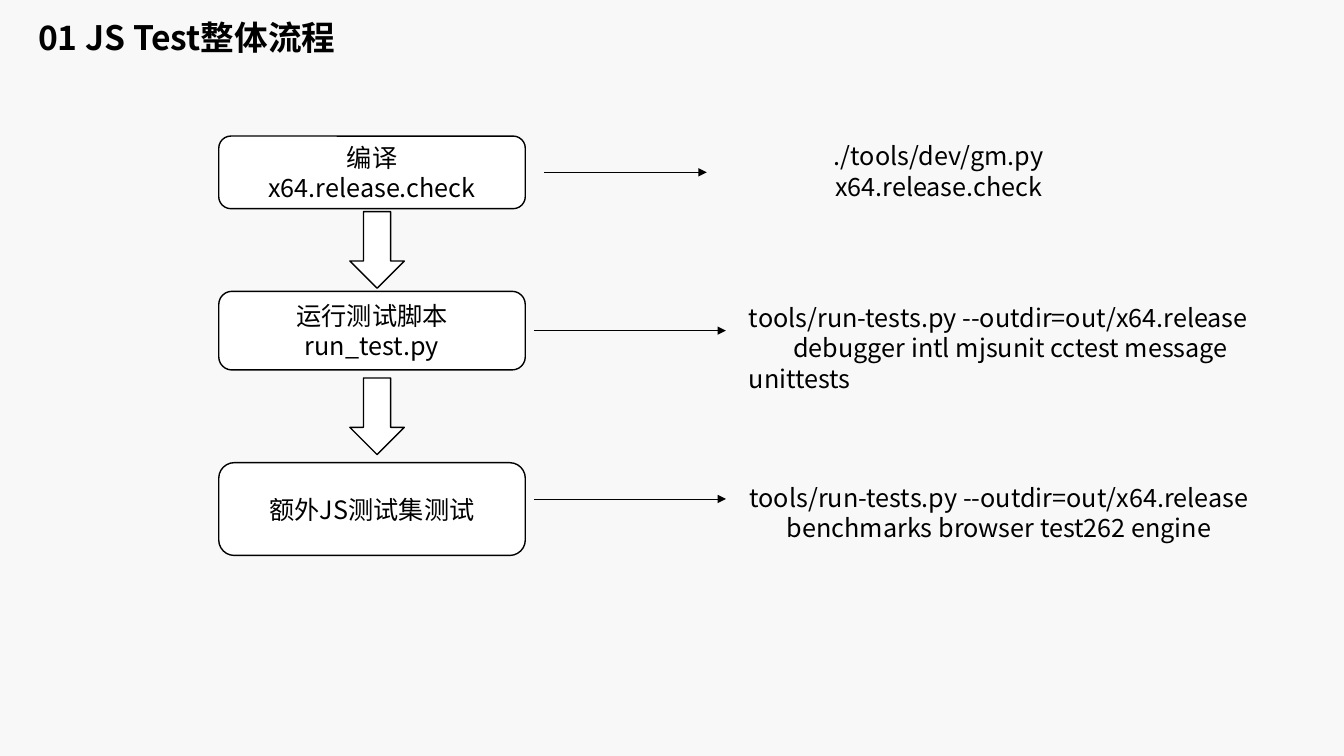
import pptx
import pptx.util
import pptx.dml.color
import pptx.enum.shapes
import pptx.enum.text
import pptx.oxml.ns
import lxml.etree

Inches = pptx.util.Inches
SHAPE = pptx.enum.shapes.MSO_SHAPE
ALIGN = pptx.enum.text.PP_ALIGN
ANCHOR = pptx.enum.text.MSO_ANCHOR
FONT = "Noto Sans CJK SC"
COLORS = {
    name: pptx.dml.color.RGBColor.from_string(value)
    for name, value in {"ground": "F8F8F8", "ink": "000000", "white": "FFFFFF"}.items()
}

deck = pptx.Presentation()
deck.slide_width, deck.slide_height = Inches(13.33), Inches(7.5)
page = deck.slides.add_slide(deck.slide_layouts[6])
page.background.fill.solid()
page.background.fill.fore_color.rgb = COLORS["ground"]


def write(box, lines, align, anchor, size=18, bold=False):
    frame = box.text_frame
    frame.word_wrap = True
    frame.vertical_anchor = anchor
    for index, line in enumerate(lines):
        para = frame.add_paragraph() if index else frame.paragraphs[0]
        para.alignment = align
        span = para.add_run()
        span.text = line
        span.font.name = FONT
        span.font.size = pptx.util.Pt(size)
        span.font.bold = bold
        span.font.color.rgb = COLORS["ink"]
        east_asian = lxml.etree.SubElement(span.font._element, pptx.oxml.ns.qn("a:ea"))
        east_asian.set("typeface", FONT)
    return frame


def add_block(kind, left, top, width, height, fill="white", outlined=True):
    block = page.shapes.add_shape(kind, Inches(left), Inches(top), Inches(width), Inches(height))
    block.shadow.inherit = False
    block.fill.solid()
    block.fill.fore_color.rgb = COLORS[fill]
    if outlined:
        block.line.color.rgb = COLORS["ink"]
        block.line.width = pptx.util.Pt(1)
    else:
        block.line.fill.background()
    return block


title = page.shapes.add_textbox(Inches(0.28), Inches(0.16), Inches(3.53), Inches(0.43))
heading = write(title, ["01 JS Test整体流程"], ALIGN.LEFT, ANCHOR.TOP, 24, True).paragraphs[0]
heading.line_spacing = 0.9
heading.space_before = pptx.util.Pt(10)

steps = [
    (1.35, 0.72, ["编译", "x64.release.check"]),
    (2.89, 0.78, ["运行测试脚本", "run_test.py"]),
    (4.59, 0.92, ["额外JS测试集测试"]),
]
for top, height, lines in steps:
    step = add_block(SHAPE.ROUNDED_RECTANGLE, 2.17, top, 3.04, height)
    write(step, lines, ALIGN.CENTER, ANCHOR.MIDDLE)

for top in (2.1, 3.75):
    add_block(SHAPE.DOWN_ARROW, 3.47, top, 0.54, 0.76)

commands = [
    (7.2, 1.42, 4.22, 0.35, "./tools/dev/gm.py x64.release.check"),
    (7.01, 4.66, 5.8, 0.05, "tools/run-tests.py --outdir=out/x64.release benchmarks browser test262 engine"),
]
for left, top, width, bottom_margin, line in commands:
    command = add_block(SHAPE.RECTANGLE, left, top, width, 0.85, "ground", False)
    frame = write(command, [line], ALIGN.CENTER, ANCHOR.MIDDLE)
    frame.margin_bottom = Inches(bottom_margin)

script_command = page.shapes.add_textbox(Inches(7.33), Inches(2.95), Inches(6), Inches(1.01))
frame = write(
    script_command,
    ["tools/run-tests.py --outdir=out/x64.release", "debugger intl mjsunit cctest message unittests"],
    ALIGN.LEFT,
    ANCHOR.TOP,
)
frame.margin_right = Inches(0.2)
frame.paragraphs[1]._p.get_or_add_pPr().set("indent", str(Inches(0.44)))

for start, end, height in [(5.4, 7.01, 1.71), (5.3, 7.2, 3.28), (5.3, 7.2, 4.95)]:
    arrow = page.shapes.add_connector(
        pptx.enum.shapes.MSO_CONNECTOR.STRAIGHT,
        Inches(start), Inches(height), Inches(end), Inches(height),
    )
    arrow.line.color.rgb = COLORS["ink"]
    arrow.line.width = pptx.util.Pt(0.5)
    outline = arrow.line._get_or_add_ln()
    lxml.etree.SubElement(outline, pptx.oxml.ns.qn("a:tailEnd")).set("type", "triangle")
    lxml.etree.SubElement(arrow._element.spPr, pptx.oxml.ns.qn("a:effectLst"))

deck.save("out.pptx")
